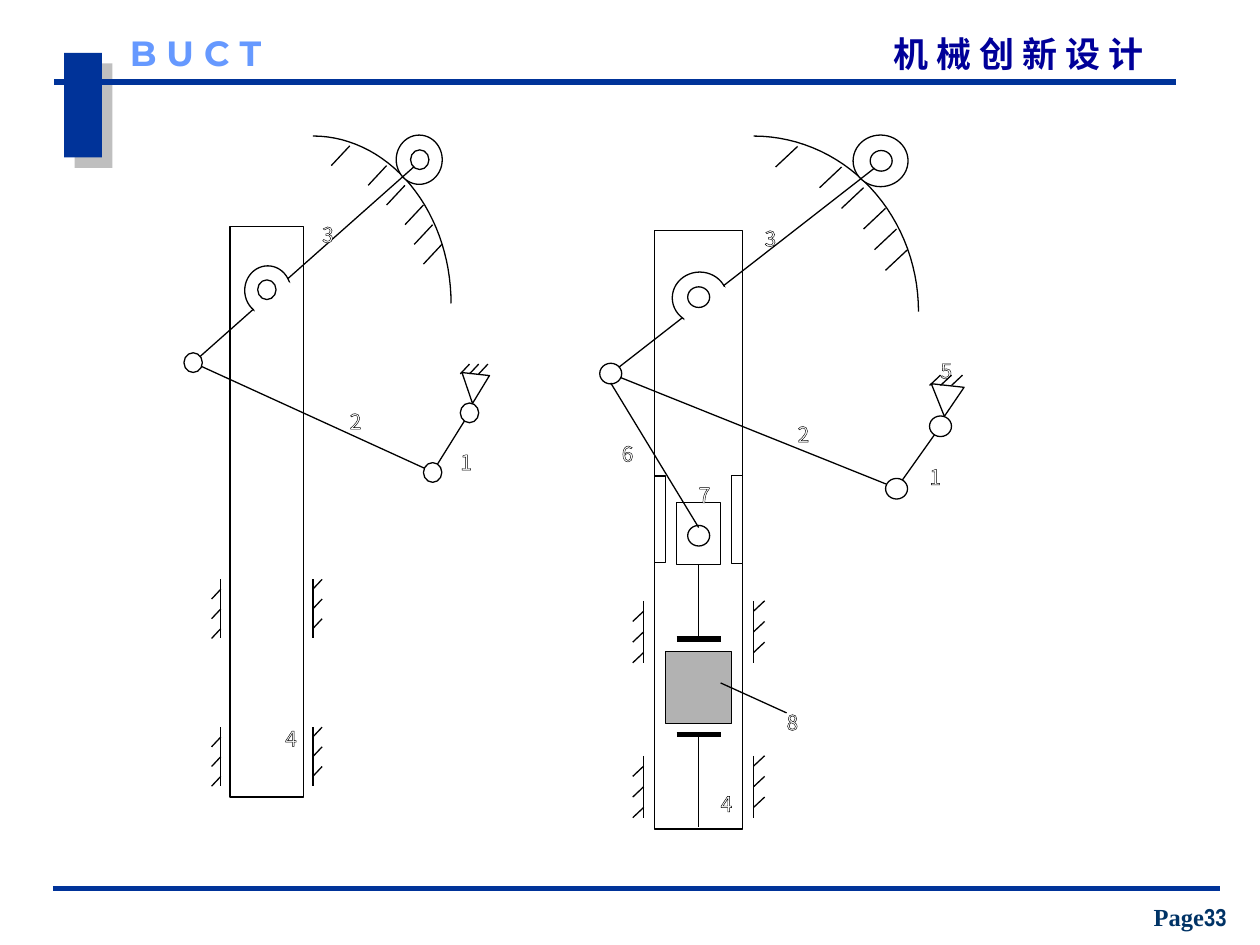
import math

from lxml import etree
from pptx import Presentation, util as u
from pptx.dml.color import RGBColor
from pptx.enum import shapes, text
from pptx.oxml import parse_xml
from pptx.oxml.ns import nsdecls, qn

color = RGBColor.from_string
RECT, OVAL = shapes.MSO_SHAPE.RECTANGLE, shapes.MSO_SHAPE.OVAL
TRIANGLE = shapes.MSO_SHAPE.ISOSCELES_TRIANGLE
STRAIGHT = shapes.MSO_CONNECTOR.STRAIGHT
LINE, LABEL = "line", "label"


def write(box, *words, size=12, fonts=("Noto Sans CJK SC",), fill="FFFFFF", bold=False,
          outline=False, margins=(0.1, 0.05), wrap=False,
          align=text.PP_ALIGN.LEFT, anchor=text.MSO_ANCHOR.TOP):
    """Write the words as runs of one paragraph, each in its own font."""
    frame = box.text_frame
    frame.word_wrap = wrap
    frame.vertical_anchor = anchor
    frame.margin_left = frame.margin_right = u.Inches(margins[0])
    frame.margin_top = frame.margin_bottom = u.Inches(margins[1])
    para = frame.paragraphs[0]
    para.alignment = align
    for word, font in zip(words, fonts):
        span = para.add_run()
        span.text = word
        span.font.name, span.font.size, span.font.bold = font, u.Pt(size), bold
        span.font.color.rgb = color(fill)
        properties = span.font._element
        etree.SubElement(properties, qn("a:ea"), typeface=font)
        if outline:
            properties.insert(0, parse_xml(
                f'<a:ln {nsdecls("a")} w="9525"><a:solidFill>'
                '<a:srgbClr val="000000"/></a:solidFill></a:ln>'))


def paint(item, line="000000", width=0.75, fill=None):
    """Set line and fill, and switch the theme shadow off."""
    item.line.color.rgb = color(line)
    item.line.width = u.Pt(width)
    if fill:
        item.fill.solid()
        item.fill.fore_color.rgb = color(fill)
    etree.SubElement(item._element.spPr, qn("a:effectLst"))


deck = Presentation()
deck.slide_width, deck.slide_height = u.Inches(10), u.Inches(7.5)
page = deck.slides.add_slide(deck.slide_layouts[6])

# Header and footer
block = page.shapes.add_shape(RECT, *map(u.Inches, (0.51, 0.42, 0.3, 0.83)))
paint(block, fill="003399")
block.line.fill.background()
block._element.spPr.find(qn("a:effectLst")).append(parse_xml(
    f'<a:outerShdw {nsdecls("a")} blurRad="0" dist="{u.Pt(8.5)}" dir="2700000" algn="ctr" '
    'rotWithShape="0"><a:srgbClr val="808080"><a:alpha val="50000"/></a:srgbClr></a:outerShdw>'))
for left, right, y in ((0.43, 9.33, 0.65), (0.42, 9.68, 7.05)):
    rule = page.shapes.add_connector(STRAIGHT, *map(u.Inches, (left, y, right, y)))
    paint(rule, line="003399", width=3)

title = page.shapes.add_textbox(*map(u.Inches, (7.09, 0.26, 2.45, 0.33)))
write(title, "机 械 创 新 设 计", size=20, fill="000099", bold=True, margins=(0, 0), wrap=True)
school = page.shapes.add_textbox(*map(u.Inches, (1.03, 0.25, 1.42, 0.33)))
write(school, "B U C T", size=20, fonts=("Montserrat",), fill="6699FF", bold=True,
      margins=(0, 0), wrap=True)
number = page.shapes.add_textbox(*map(u.Inches, (8.97, 7.11, 0.95, 0.33)))
write(number, "Page", "33", size=14, fonts=("Times New Roman", "Arial Narrow"), fill="003366",
      bold=True, wrap=True, align=text.PP_ALIGN.CENTER, anchor=text.MSO_ANCHOR.BOTTOM)

# Parts of the linkage in grid units: lines as two ends, the rest as left, top, width, height
linkage = [(RECT, (5, 9.15, 8, 57.95), {}),
           (LINE, (1, 23, 27, 34.1), {}),
           (LINE, (27, 34.1, 31, 28.1), {})]
for top in (60, 45):
    linkage += [(LINE, (wall, top, wall, top + 6), {}) for wall in (4, 14)]
    for y in (top + 1, top + 3, top + 5):
        linkage += [(LINE, (4, y, 3, y + 1), {}), (LINE, (14, y, 15, y - 1), {})]
for x, y in ((18, 1), (22, 3), (24, 5), (26, 7), (27, 9), (28, 11)):
    linkage.append((LINE, (x, y, x - 2, y + 2), {}))
linkage += [(OVAL, (23.05, -0.1, 5, 5), {}),
            (OVAL, (24.6, 1.4, 2, 2), {}),
            (LINE, (1, 23, 25, 3.1), {}),
            (OVAL, (6.6, 13.17, 5, 5), {}),
            (OVAL, (7.4, 15.1, 5, 3.2), {"turn": 320.4, "line": "FFFFFF"})]
for x, y in ((8, 14.6), (0, 22), (26, 33.15), (30, 27.1)):
    linkage.append((OVAL, (x, y, 2, 2), {}))
linkage.append((TRIANGLE, (30, 24.15, 3, 3), {"turn": 186.3}))
linkage += [(LINE, (x, 23.15, x - 1, 24.15), {}) for x in (31, 32, 33)]
for word, x, y in (("1", 30, 31.15), ("3", 15, 8.05), ("2", 18, 27)):
    linkage.append((LABEL, (x, y, 1, 2), {"word": word}))

# Slider, rods and weight inside the second column
press = [(RECT, (5, 32.9, 1, 8.4), {}),
         (RECT, (12, 32.9, 1, 8.5), {}),
         (RECT, (7, 35.5, 4, 6), {}),
         (OVAL, (8, 37.7, 2, 2), {}),
         (LINE, (1, 23.9, 9, 37.9), {}),
         (RECT, (6, 49.9, 6, 7), {"fill": "B2B2B2"}),
         (LINE, (9, 41.5, 9, 48.6), {}),
         (LINE, (7, 48.7, 11, 48.7), {"width": 3}),
         (LINE, (7, 57.95, 11, 57.95), {"width": 3}),
         (LINE, (9, 57.95, 9, 66.9), {}),
         (LINE, (11, 52.95, 17, 55.85), {})]
for word, x, y in (("4", 11, 62.8), ("7", 9, 32.9), ("6", 2, 28.9), ("8", 17, 54.9)):
    press.append((LABEL, (x, y, 1, 2), {"word": word}))

# Each mechanism has a grid of 29 by 66 units, stretched to its own width and height
mechanisms = (
    (1.46, 2.12, 5.16, linkage + [(LABEL, (11, 59.2, 1, 2), {"word": "4"})]),
    (4.76, 2.53, 5.41, [(LABEL, (31, 20.86, 1, 2), {"word": "5"})] + linkage + press),
)
GRID_TOP = 1.08
for grid_left, grid_width, grid_height, parts in mechanisms:
    group = page.shapes.add_group_shape().shapes
    unit_x, unit_y = grid_width / 29, grid_height / 66

    angles = [math.radians(degree) for degree in range(0, 91, 3)]
    curve = [(u.Inches(grid_left + unit_x * (14 + 15 * math.sin(angle))),
              u.Inches(GRID_TOP + unit_y * 17 * (1 - math.cos(angle)))) for angle in angles]
    builder = group.build_freeform(*curve[0])
    builder.add_line_segments(curve[1:], close=False)
    arc = builder.convert_to_shape()
    arc.fill.background()
    paint(arc)

    for kind, (x, y, across, down), options in parts:
        start = u.Inches(grid_left + x * unit_x), u.Inches(GRID_TOP + y * unit_y)
        if kind == LINE:
            end = u.Inches(grid_left + across * unit_x), u.Inches(GRID_TOP + down * unit_y)
            paint(group.add_connector(STRAIGHT, *start, *end), **options)
            continue
        size = u.Inches(across * unit_x), u.Inches(down * unit_y)
        if kind == LABEL:
            write(group.add_textbox(*start, *size), options["word"], outline=True)
        else:
            item = group.add_shape(kind, *start, *size)
            item.rotation = options.get("turn", 0)
            paint(item, line=options.get("line", "000000"), fill=options.get("fill", "FFFFFF"))

deck.save("out.pptx")
